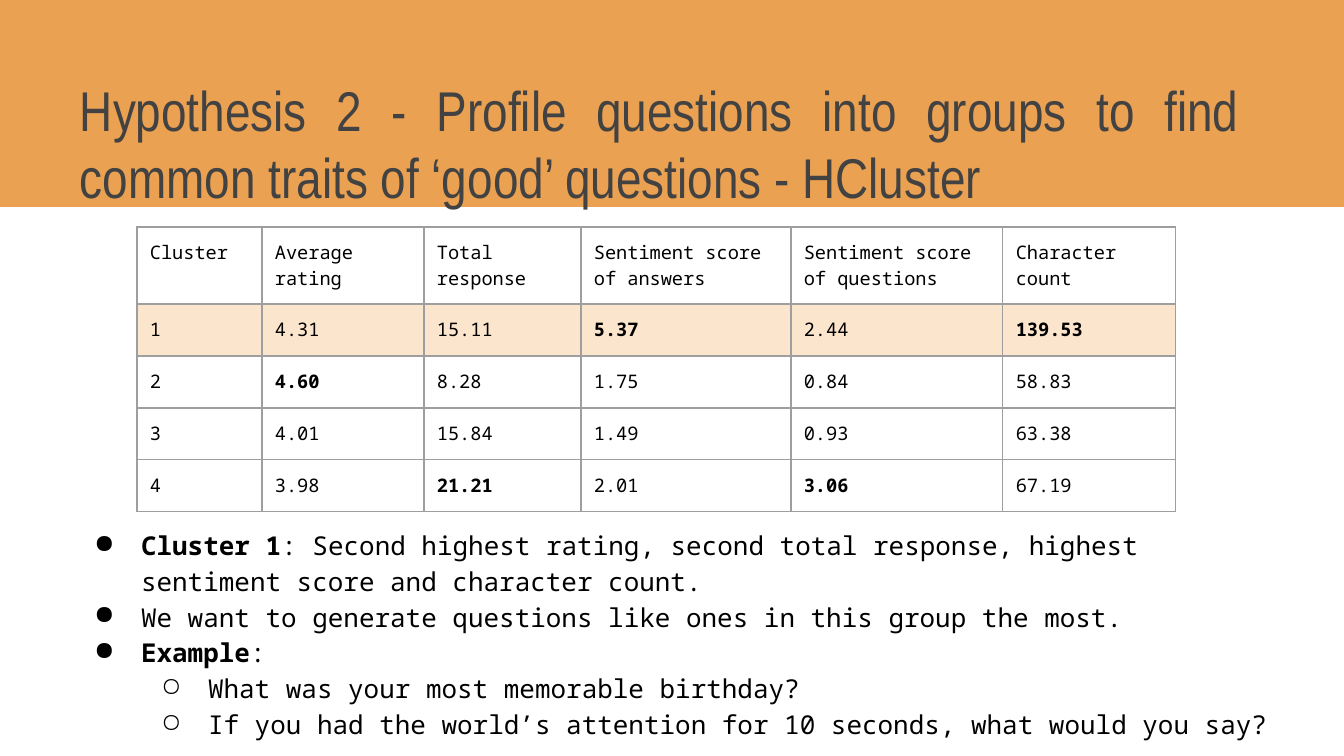
import pptx
import pptx.dml.color
import pptx.enum.shapes
import pptx.enum.text
import pptx.oxml.ns
import pptx.util
from lxml import etree

# Content
TITLE = "Hypothesis 2 - Profile questions into groups to find common traits of ‘good’ questions - HCluster"
HEADERS = ["Cluster", "Average rating", "Total response", "Sentiment score of answers",
           "Sentiment score of questions", "Character count"]
CLUSTERS = [
    ["1", "4.31", "15.11", "5.37", "2.44", "139.53"],
    ["2", "4.60", "8.28", "1.75", "0.84", "58.83"],
    ["3", "4.01", "15.84", "1.49", "0.93", "63.38"],
    ["4", "3.98", "21.21", "2.01", "3.06", "67.19"],
]
BEST_VALUES = {"4.60", "21.21", "5.37", "3.06", "139.53"}
HIGHLIGHTED_ROW = 1
# Each bullet: level, bold lead, plain text
BULLETS = [
    (0, "Cluster 1", ": Second highest rating, second total response, highest sentiment score and character count."),
    (0, "", "We want to generate questions like ones in this group the most."),
    (0, "Example", ":"),
    (1, "", "What was your most memorable birthday?"),
    (1, "", "If you had the world’s attention for 10 seconds, what would you say?"),
]

# Format, lengths in px
COLORS = {"band": "EBA152", "title": "424242", "text": "000000",
          "highlight": "FCE5CD", "plain": "FFFFFF", "border": "9E9E9E"}
TITLE_FONT = {"name": "Arial Narrow", "size": pptx.util.Pt(30)}
BODY_FONT = {"name": "Noto Sans Mono", "size": pptx.util.Pt(13.9)}
TABLE_FONT = {"name": "Noto Sans Mono", "size": pptx.util.Pt(10)}
COLUMN_WIDTHS = [125, 162, 157, 210, 212, 173]
ROW_HEIGHTS = [77] + [52] * len(CLUSTERS)
INSET = 13
TITLE_BOTTOM_INSET = 76
BULLET_MARKS = "●○"
BULLET_INDENT = 67
BULLET_HANGING = 47
EMU_PER_PX = 914400 / 134.4


def px(length):
    return pptx.util.Emu(round(length * EMU_PER_PX))


def rgb(name):
    return pptx.dml.color.RGBColor.from_string(COLORS[name])


def set_values(target, values):
    for name, value in values.items():
        setattr(target, name, value)


def add_run(paragraph, text, font, color, bold=False):
    run = paragraph.add_run()
    run.text = text
    set_values(run.font, {**font, "bold": bold})
    run.font.color.rgb = rgb(color)


def add_child(parent, tag, **attributes):
    return etree.SubElement(parent, pptx.oxml.ns.qn(tag), attributes)


def add_text_frame(slide, box, bottom_inset=INSET):
    frame = slide.shapes.add_textbox(*map(px, box)).text_frame
    set_values(frame, {"word_wrap": True, "margin_left": px(INSET), "margin_right": px(INSET),
                       "margin_top": px(INSET), "margin_bottom": px(bottom_inset)})
    return frame


def set_bullet(paragraph, level):
    set_values(paragraph, {"level": level, "line_spacing": 1.15})
    properties = paragraph._p.get_or_add_pPr()
    properties.set("marL", str(px(BULLET_INDENT * (level + 1))))
    properties.set("indent", str(px(-BULLET_HANGING)))
    add_child(add_child(properties, "a:buClr"), "a:srgbClr", val=COLORS["text"])
    add_child(properties, "a:buChar", char=BULLET_MARKS[level])


def set_borders(cell):
    properties = cell._tc.get_or_add_tcPr()
    for position, side in enumerate(("a:lnL", "a:lnR", "a:lnT", "a:lnB")):
        line = add_child(properties, side, w=str(pptx.util.Pt(0.75)))
        add_child(add_child(line, "a:solidFill"), "a:srgbClr", val=COLORS["border"])
        properties.insert(position, line)


def add_band(slide):
    band = slide.shapes.add_shape(pptx.enum.shapes.MSO_SHAPE.RECTANGLE, *map(px, (0, 0, 1344, 207)))
    band.shadow.inherit = False
    band.fill.solid()
    band.fill.fore_color.rgb = rgb("band")
    band.line.fill.background()


def add_title(slide):
    frame = add_text_frame(slide, (0, 16, 1253, 270), TITLE_BOTTOM_INSET)
    frame.vertical_anchor = pptx.enum.text.MSO_ANCHOR.BOTTOM
    paragraph = frame.paragraphs[0]
    paragraph.alignment = pptx.enum.text.PP_ALIGN.JUSTIFY
    paragraph._p.get_or_add_pPr().set("marL", str(px(BULLET_INDENT)))
    add_run(paragraph, TITLE, TITLE_FONT, "title")


def add_bullets(slide):
    frame = add_text_frame(slide, (61, 512, 1223, 244))
    for index, (level, lead, text) in enumerate(BULLETS):
        paragraph = frame.add_paragraph() if index else frame.paragraphs[0]
        set_bullet(paragraph, level)
        if lead:
            add_run(paragraph, lead, BODY_FONT, "text", bold=True)
        add_run(paragraph, text, BODY_FONT, "text")


def add_cluster_table(slide):
    rows = [HEADERS] + CLUSTERS
    box = (137, 227, sum(COLUMN_WIDTHS), sum(ROW_HEIGHTS))
    table = slide.shapes.add_table(len(rows), len(HEADERS), *map(px, box)).table
    set_values(table, {"first_row": False, "horz_banding": False})
    for column, width in zip(table.columns, COLUMN_WIDTHS):
        column.width = px(width)
    for row_index, values in enumerate(rows):
        table.rows[row_index].height = px(ROW_HEIGHTS[row_index])
        for column_index, value in enumerate(values):
            cell = table.cell(row_index, column_index)
            set_values(cell, {f"margin_{side}": px(INSET) for side in ("left", "right", "top", "bottom")})
            cell.fill.solid()
            cell.fill.fore_color.rgb = rgb("highlight" if row_index == HIGHLIGHTED_ROW else "plain")
            set_borders(cell)
            add_run(cell.text_frame.paragraphs[0], value, TABLE_FONT, "text", value in BEST_VALUES)


def main():
    presentation = pptx.Presentation()
    set_values(presentation, {"slide_width": px(1344), "slide_height": px(756)})
    slide = presentation.slides.add_slide(presentation.slide_layouts[6])
    for add_part in (add_band, add_title, add_bullets, add_cluster_table):
        add_part(slide)
    presentation.save("out.pptx")


if __name__ == "__main__":
    main()
